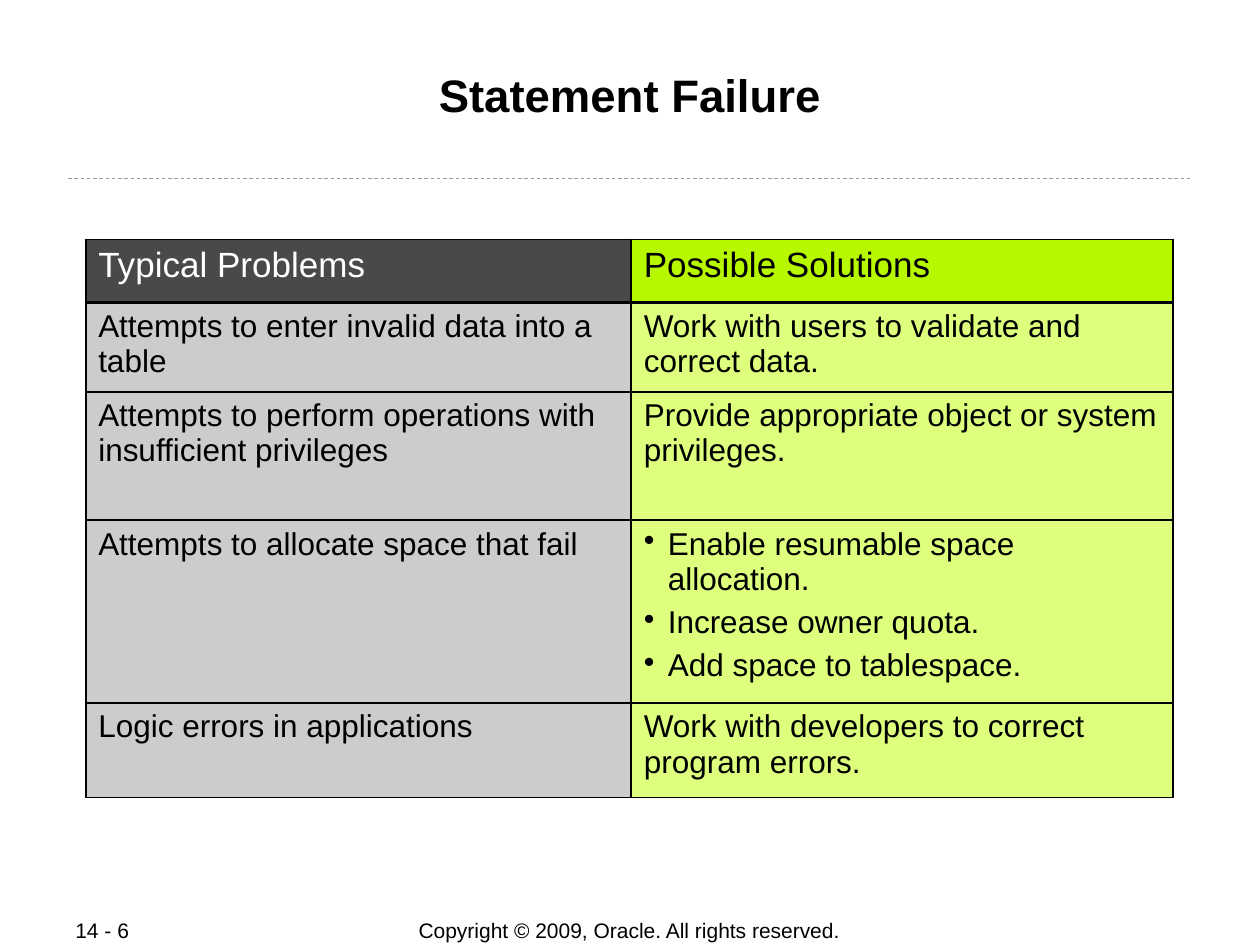
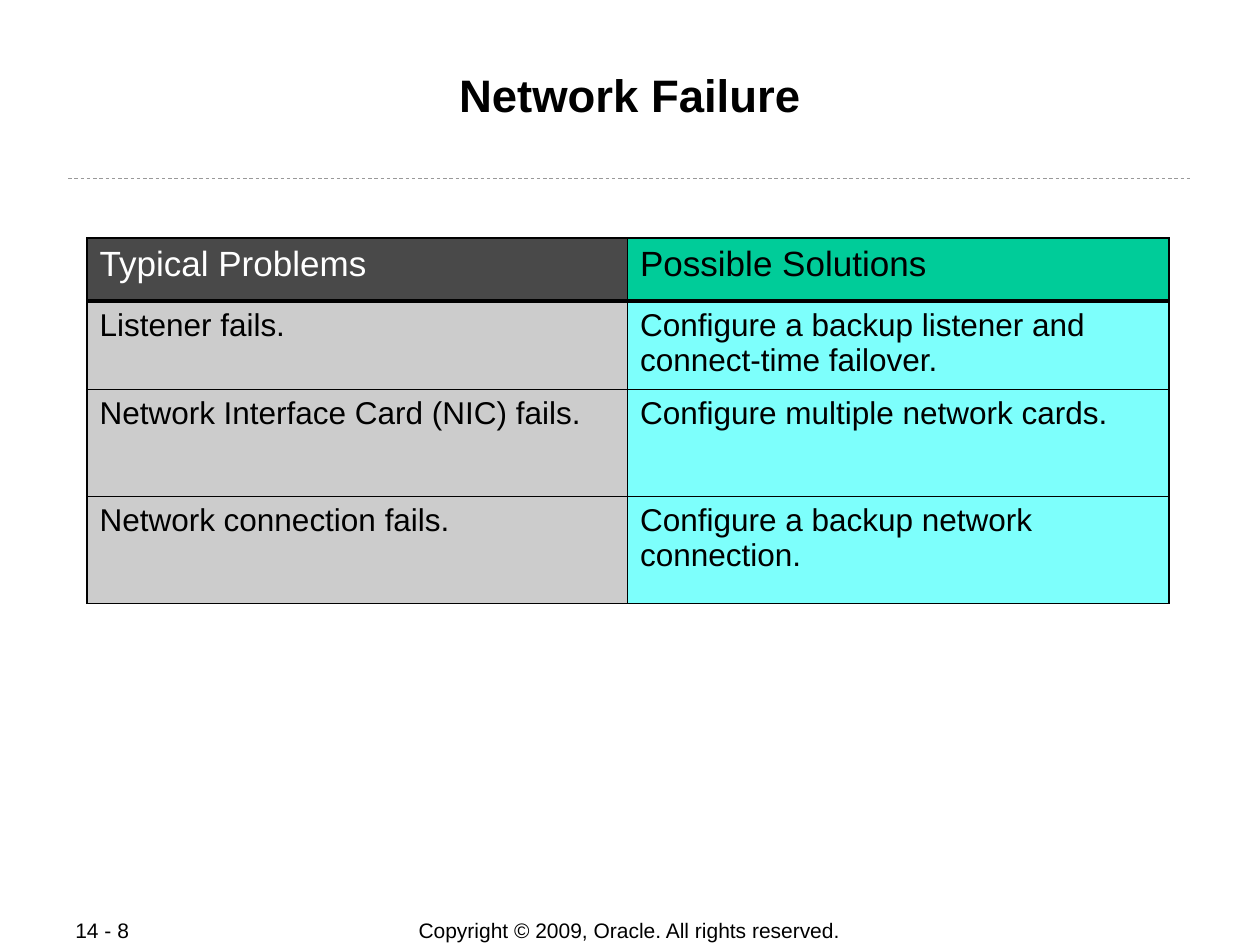
from collections import namedtuple

from lxml.etree import SubElement
from pptx import Presentation
from pptx.dml.color import RGBColor
from pptx.enum.dml import MSO_LINE
from pptx.enum.shapes import MSO_CONNECTOR
from pptx.enum.text import MSO_ANCHOR, PP_ALIGN
from pptx.oxml.ns import qn
from pptx.util import Inches, Pt

BLACK = RGBColor(0x00, 0x00, 0x00)
WHITE = RGBColor(0xFF, 0xFF, 0xFF)
RULE_GRAY = RGBColor(0x99, 0x99, 0x99)
DARK_GRAY = RGBColor(0x49, 0x49, 0x49)
LIGHT_GRAY = RGBColor(0xCC, 0xCC, 0xCC)
LIME = RGBColor(0xB7, 0xF8, 0x00)
PALE_LIME = RGBColor(0xDD, 0xFF, 0x7D)
TEAL = RGBColor(0x00, 0xCC, 0x99)
PALE_CYAN = RGBColor(0x7D, 0xFF, 0xFC)

TITLE_FONT = {"name": "Arial", "size": Pt(26), "bold": True}
FOOTER_FONT = {"name": "Arial", "size": Pt(12)}
HEADER_FONT = {"name": "Arial", "size": Pt(20)}
BODY_FONT = {"name": "Arial", "size": Pt(18)}

COPYRIGHT = "Copyright © 2009, Oracle. All rights reserved."
HEADINGS = ("Typical Problems", "Possible Solutions")
BULLET_INDENT = Inches(0.19)
THIN, THICK = Pt(1.08), Pt(2.21)

Box = namedtuple("Box", "left top width height")
TITLE_BOX = Box(0.67, 0.48, 8.66, 0.96)
NUMBER_BOX = Box(0.5, 7.28, 1.06, 0.2)
COPYRIGHT_BOX = Box(2.75, 7.28, 4.49, 0.21)


def set_font(para, style, color):
    for key, value in style.items():
        setattr(para.font, key, value)
    para.font.color.rgb = color


def add_text(page, box, text, style, align, inset=0.1, anchor=MSO_ANCHOR.MIDDLE):
    frame = page.shapes.add_textbox(*map(Inches, box)).text_frame
    settings = {
        "word_wrap": True, "vertical_anchor": anchor,
        "margin_left": Inches(inset), "margin_right": Inches(inset),
        "margin_top": Inches(0.05), "margin_bottom": Inches(0.05),
    }
    for key, value in settings.items():
        setattr(frame, key, value)
    para = frame.paragraphs[0]
    para.text = text
    para.alignment = align
    set_font(para, style, BLACK)


def add_frame(page, title, number):
    """Add the title, the dashed rule and the footer that every slide has."""
    add_text(page, COPYRIGHT_BOX, COPYRIGHT, FOOTER_FONT, PP_ALIGN.CENTER)
    rule = page.shapes.add_connector(
        MSO_CONNECTOR.STRAIGHT, Inches(0.54), Inches(1.42), Inches(9.46), Inches(1.42))
    rule.line.color.rgb = RULE_GRAY
    rule.line.width = Pt(0.5)
    rule.line.dash_style = MSO_LINE.DASH
    SubElement(rule._element.spPr, qn("a:effectLst"))
    add_text(page, NUMBER_BOX, f"14 - {number}", FOOTER_FONT, PP_ALIGN.LEFT)
    add_text(page, TITLE_BOX, title, TITLE_FONT, PP_ALIGN.CENTER,
             inset=0.01, anchor=MSO_ANCHOR.TOP)


def add_borders(cell, top, bottom):
    properties = cell._tc.get_or_add_tcPr()
    for side, width in (("L", THIN), ("R", THIN), ("T", top), ("B", bottom)):
        line = SubElement(properties, qn(f"a:ln{side}"), w=str(int(width)))
        fill = SubElement(line, qn("a:solidFill"))
        SubElement(fill, qn("a:srgbClr"), val=str(BLACK))


def add_bullet(para):
    properties = para._p.get_or_add_pPr()
    properties.set("marL", str(BULLET_INDENT))
    properties.set("indent", str(-BULLET_INDENT))
    SubElement(properties, qn("a:buChar"), char="•")


def fill_cell(cell, content, fill, style, color):
    """Write a string, or a list of strings as bullets, into a cell."""
    cell.fill.solid()
    cell.fill.fore_color.rgb = fill
    bulleted = isinstance(content, list)
    for index, text in enumerate(content if bulleted else [content]):
        frame = cell.text_frame
        para = frame.add_paragraph() if index else frame.paragraphs[0]
        para.text = text
        if index:
            para.space_before = Pt(4.5)
        if bulleted:
            add_bullet(para)
        set_font(para, style, color)


def add_problem_table(page, left, top, widths, heights, rows, header_fill, body_fill):
    grid = [HEADINGS, *rows]
    table = page.shapes.add_table(
        len(grid), len(widths), Inches(left), Inches(top),
        Inches(sum(widths)), Inches(sum(heights))).table
    table.first_row = table.horz_banding = False
    for column, width in zip(table.columns, widths):
        column.width = Inches(width)
    for row, height in zip(table.rows, heights):
        row.height = Inches(height)
    for row, contents in enumerate(grid):
        is_header = row == 0
        fills = (DARK_GRAY, header_fill) if is_header else (LIGHT_GRAY, body_fill)
        colors = (WHITE, BLACK) if is_header else (BLACK, BLACK)
        style = HEADER_FONT if is_header else BODY_FONT
        for column, content in enumerate(contents):
            cell = table.cell(row, column)
            add_borders(cell, top=THICK if row == 1 else THIN,
                        bottom=THICK if is_header else THIN)
            fill_cell(cell, content, fills[column], style, colors[column])


def add_failure_slide(deck, title, number, **table):
    page = deck.slides.add_slide(deck.slide_layouts[6])
    add_frame(page, title, number)
    add_problem_table(page, **table)


def main():
    deck = Presentation()
    deck.slide_width, deck.slide_height = Inches(10), Inches(7.5)
    add_failure_slide(
        deck, "Statement Failure", 6,
        left=0.68, top=1.9, widths=(4.33, 4.3), heights=(0.5, 0.71, 1.02, 1.45, 0.75),
        header_fill=LIME, body_fill=PALE_LIME,
        rows=[
            ("Attempts to enter invalid data into a table",
             "Work with users to validate and correct data."),
            ("Attempts to perform operations with insufficient privileges",
             "Provide appropriate object or system privileges."),
            ("Attempts to allocate space that fail",
             ["Enable resumable space\vallocation.",
              "Increase owner quota.",
              "Add space to tablespace."]),
            ("Logic errors in applications",
             "Work with developers to correct program errors."),
        ])
    add_failure_slide(
        deck, "Network Failure", 8,
        left=0.69, top=1.89, widths=(4.29, 4.3), heights=(0.5, 0.7, 0.85, 0.85),
        header_fill=TEAL, body_fill=PALE_CYAN,
        rows=[
            ("Listener fails.",
             "Configure a backup listener and connect-time failover."),
            ("Network Interface Card (NIC) fails.",
             "Configure multiple network cards."),
            ("Network connection fails.",
             "Configure a backup network connection."),
        ])
    deck.save("out.pptx")


if __name__ == "__main__":
    main()
